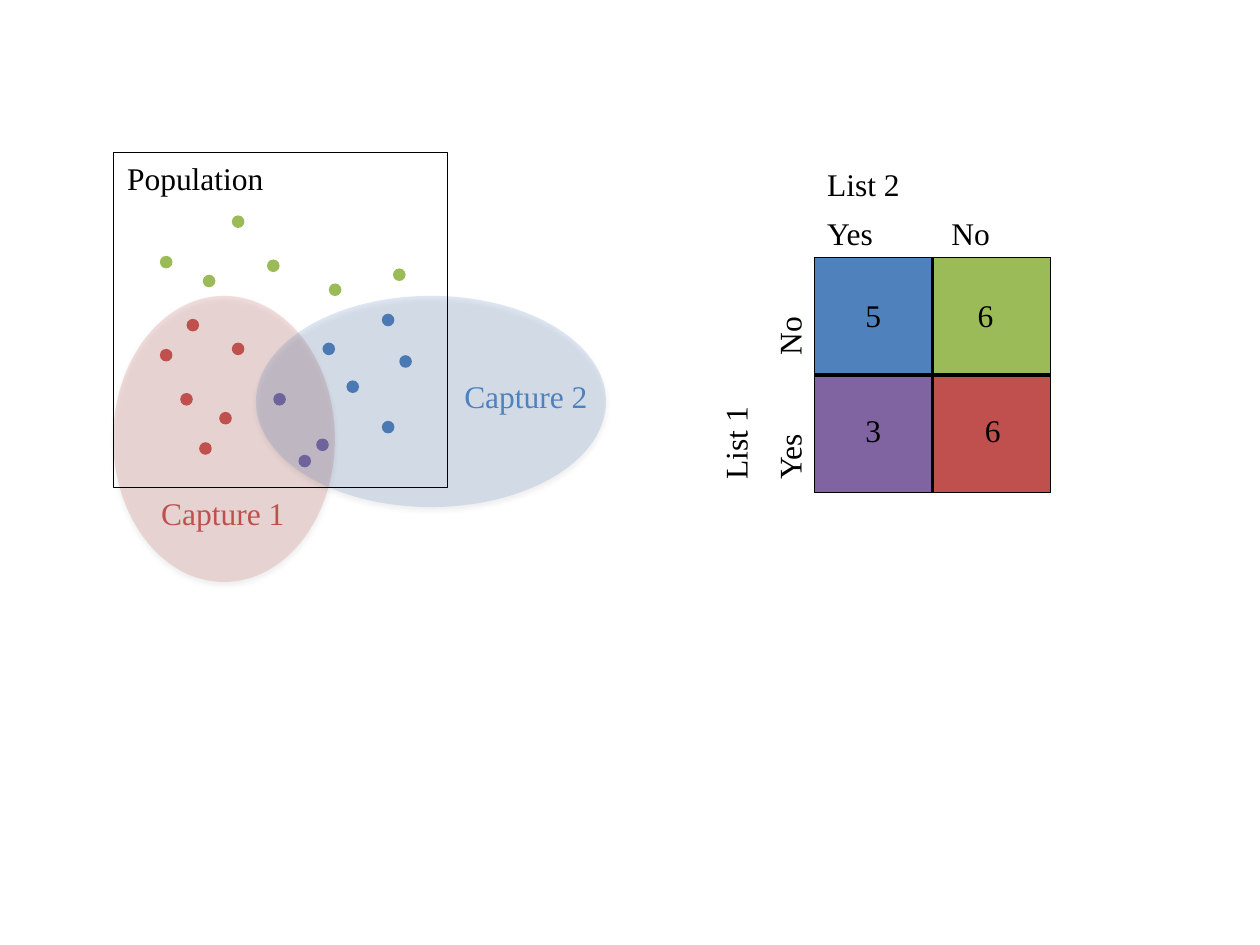
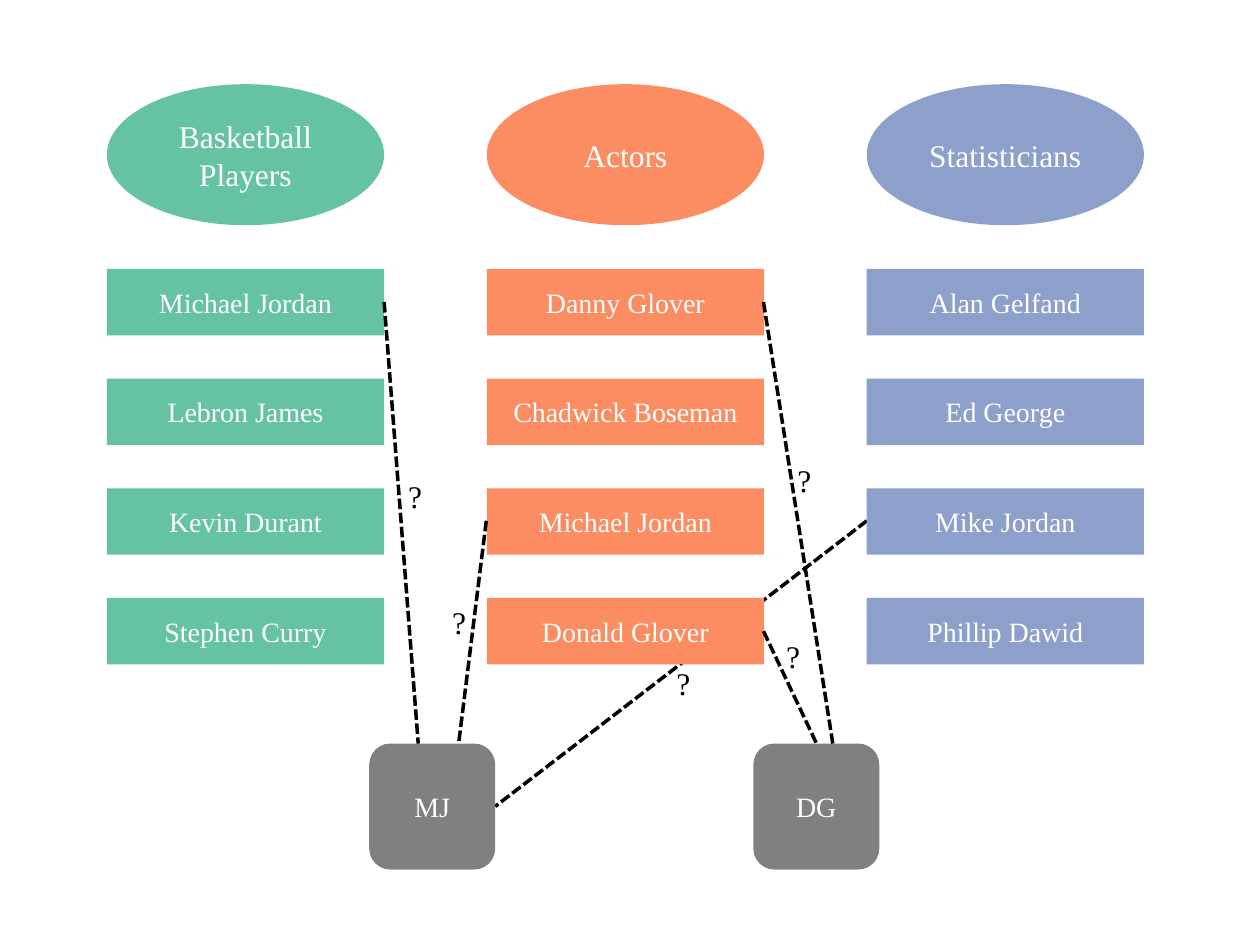
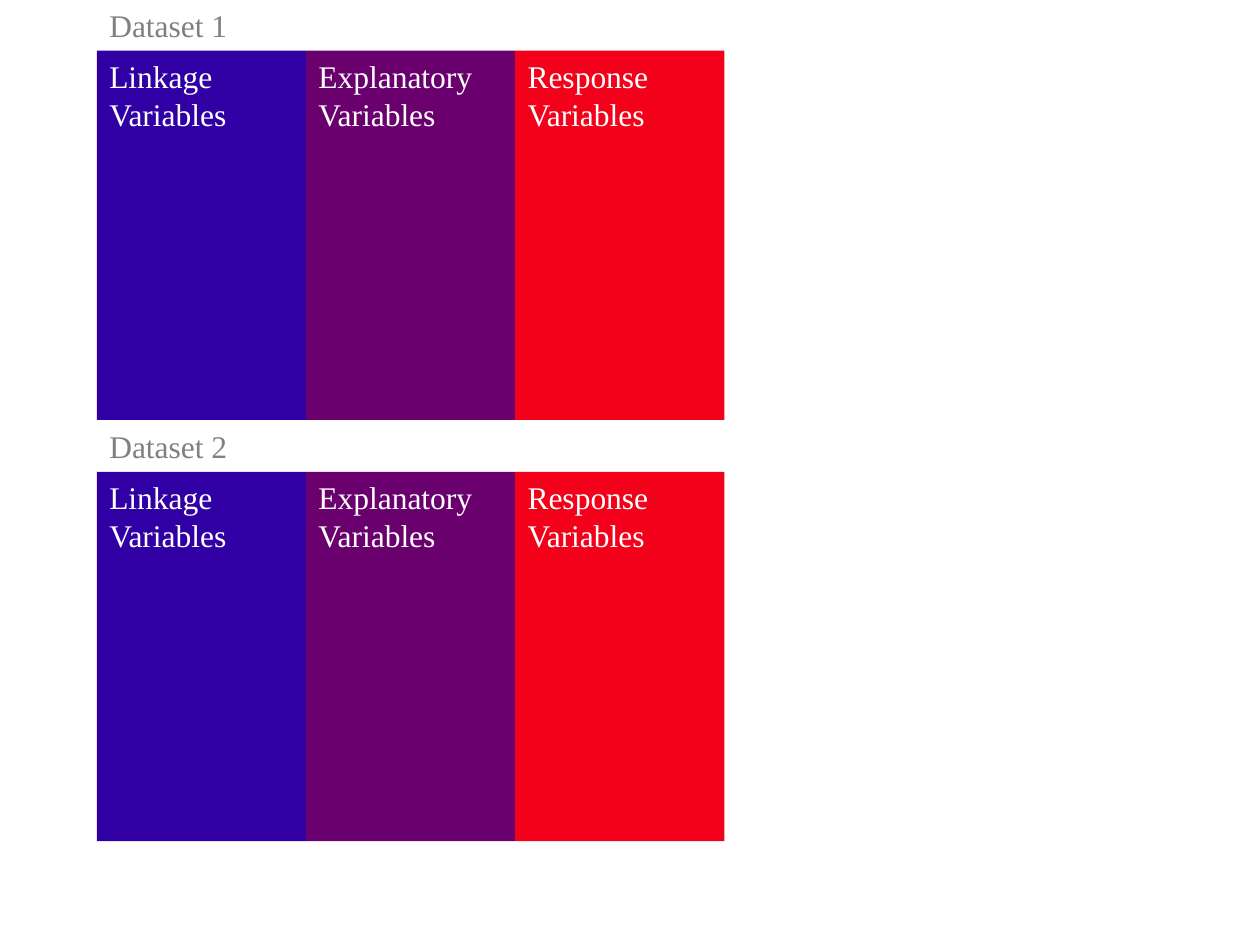
"""Build three slides on capture lists, record linkage and shared datasets."""
from dataclasses import dataclass

from lxml.etree import SubElement
from pptx import Presentation
from pptx.dml.color import RGBColor
from pptx.enum.dml import MSO_LINE
from pptx.enum.shapes import MSO_CONNECTOR, MSO_SHAPE
from pptx.enum.text import MSO_ANCHOR, MSO_AUTO_SIZE, PP_ALIGN
from pptx.oxml.ns import qn
from pptx.util import Pt


@dataclass(frozen=True)
class Theme:
    font: str = "Times New Roman"
    large: int = 18
    small: int = 16
    thin: float = 0.75
    thick: float = 2
    black: str = "000000"
    white: str = "FFFFFF"
    gray: str = "808080"
    blue: str = "4F81BD"
    red: str = "C0504D"
    green: str = "9BBB59"
    purple: str = "8064A2"
    mint: str = "66C2A5"
    coral: str = "FC8D62"
    slate: str = "8DA0CB"
    navy: str = "3000A4"
    plum: str = "69006E"
    scarlet: str = "F3001A"


theme = Theme()


def draw(shapes, kind, box, fill=None, line=None, text="", color=theme.black, size=theme.large):
    place = [Pt(n) for n in box]
    if kind is None:
        item = shapes.add_textbox(*place)
        item.text_frame.auto_size = MSO_AUTO_SIZE.SHAPE_TO_FIT_TEXT
    else:
        item = shapes.add_shape(kind, *place)
        item.shadow.inherit = False
        item.text_frame.vertical_anchor = MSO_ANCHOR.MIDDLE
        if fill:
            item.fill.solid()
            item.fill.fore_color.rgb = RGBColor.from_string(fill)
        else:
            item.fill.background()
        if line:
            item.line.color.rgb = RGBColor.from_string(line)
            item.line.width = Pt(theme.thin)
        else:
            item.line.fill.background()
    if text:
        item.text_frame.word_wrap = True
        para = item.text_frame.paragraphs[0]
        para.alignment = PP_ALIGN.CENTER if kind else PP_ALIGN.LEFT
        run = para.add_run()
        run.text = text
        run.font.name = theme.font
        run.font.size = Pt(size)
        run.font.color.rgb = RGBColor.from_string(color)
    return item


def link(shapes, start, end, dash=None):
    item = shapes.add_connector(MSO_CONNECTOR.STRAIGHT, *[Pt(n) for n in start + end])
    item.line.color.rgb = RGBColor.from_string(theme.black)
    item.line.width = Pt(theme.thick)
    if dash:
        item.line.dash_style = dash
    SubElement(item._element.spPr, qn("a:effectLst"))


deck = Presentation()
deck.slide_width, deck.slide_height = Pt(720), Pt(540)
blank = deck.slide_layouts[6]

page = deck.slides.add_slide(blank).shapes
first = draw(page, MSO_SHAPE.OVAL, (64.7, 169.1, 126.7, 163.5), theme.red)
dots = {
    theme.green: [(91.4, 146.2), (115.9, 157), (187.9, 162), (152.6, 148.3),
                  (132.5, 123.1), (224.6, 153.4)],
    theme.red: [(91.4, 199.4), (106.6, 182.2), (125.3, 235.4), (132.5, 195.8),
                (113.8, 252.7), (103, 224.6)],
    theme.purple: [(156.2, 224.6), (170.6, 259.9), (180.7, 250.6)],
    theme.blue: [(198, 217.4), (228.2, 203), (184.3, 195.8), (218.2, 179.3),
                 (218.2, 240.5)],
}
for color, spots in dots.items():
    for x, y in spots:
        draw(page, MSO_SHAPE.OVAL, (x, y, 7.2, 7.2), color)
draw(page, None, (65.5, 87.1, 109.4, 29), text="Population")
second = draw(page, MSO_SHAPE.OVAL, (146.3, 169.1, 200, 120.7), theme.blue)
for oval in (first, second):
    props = oval._element.spPr
    tint = props.find(qn("a:solidFill"))[0]
    SubElement(tint, qn("a:alpha"), val="18000")
    glow = SubElement(props.find(qn("a:effectLst")), qn("a:outerShdw"),
                      blurRad=str(Pt(3.1)), dist=str(Pt(1.8)), dir="5400000", rotWithShape="0")
    shade = SubElement(glow, qn("a:srgbClr"), val=theme.black)
    SubElement(shade, qn("a:alpha"), val="35000")
draw(page, MSO_SHAPE.RECTANGLE, (64.7, 87.1, 191, 191.5), line=theme.black)
draw(page, None, (85, 278.6, 109.4, 29), text="Capture 1", color=theme.red)
draw(page, None, (258.2, 211.7, 109.4, 29), text="Capture 2", color=theme.blue)

grid = page.add_group_shape().shapes
left, top, cell = 465.6, 147, 67.3
span = 2 * cell
cells = [[theme.blue, theme.green], [theme.purple, theme.red]]
for row, colors in enumerate(cells):
    for col, color in enumerate(colors):
        draw(grid, MSO_SHAPE.RECTANGLE, (left + col * cell, top + row * cell, cell, cell), color)
draw(grid, MSO_SHAPE.RECTANGLE, (left, top, span, span), line=theme.black)
link(grid, (left + cell, top), (left + cell, top + span))
link(grid, (left, top + cell), (left + span, top + cell))
for x, y, turn, label in [(left, 90.7, 0, "List 2"), (352.8, 199.4, 270, "List 1"),
                          (383.8, 199.4, 270, "Yes\tNo"), (left, 118.8, 0, "Yes\tNo")]:
    item = draw(grid, None, (x, y, span, 29), text=label)
    item.rotation = turn
    if "\t" in label:
        props = item.text_frame.paragraphs[0]._p.get_or_add_pPr()
        tabs = SubElement(props, qn("a:tabLst"))
        SubElement(tabs, qn("a:tab"), pos=str(Pt(71)), algn="l")
for x, y, wide, count in [(551.5, 165.6, 32.4, "6"), (555.8, 231.1, 24.5, "6"),
                          (487.4, 231.1, 24.5, "3"), (487.4, 165.6, 24.5, "5")]:
    draw(grid, None, (x, y, wide, 29), text=count)

page = deck.slides.add_slide(blank).shapes
dash = MSO_LINE.SQUARE_DOT
link(page, (495.4, 297.6), (283, 460.8), dash)
groups = [
    ("Basketball Players", theme.mint,
     ["Michael Jordan", "Lebron James", "Kevin Durant", "Stephen Curry"]),
    ("Actors", theme.coral,
     ["Danny Glover", "Chadwick Boseman", "Michael Jordan", "Donald Glover"]),
    ("Statisticians", theme.slate,
     ["Alan Gelfand", "Ed George", "Mike Jordan", "Phillip Dawid"]),
]
for col, (title, color, names) in enumerate(groups):
    x = 61.1 + col * 217.1
    draw(page, MSO_SHAPE.OVAL, (x, 48.1, 158.4, 80.6), color, text=title, color=theme.white)
    for row, name in enumerate(names):
        draw(page, MSO_SHAPE.RECTANGLE, (x, 153.6 + row * 62.7, 158.4, 38), color,
             text=name, color=theme.white, size=theme.small)
for x, name in [(211, "MJ"), (430.5, "DG")]:
    draw(page, MSO_SHAPE.ROUNDED_RECTANGLE, (x, 424.9, 72, 72), theme.gray,
         text=name, color=theme.white, size=theme.small)
for start, end in [((277.9, 297.6), 262.1), ((219.5, 172.6), 239),
                   ((436.3, 172.6), 475.9), ((436.3, 360.7), 466.6)]:
    link(page, start, (end, 424.9), dash)
for x, y in [(226.1, 269.3), (251.3, 341.3), (379.4, 375.8), (448.6, 259.9), (442.1, 360.7)]:
    draw(page, None, (x, y, 25.2, 29), text="?")

page = deck.slides.add_slide(blank).shapes
left, wide, high = 55.4, 119.5, 211
bands = [("Linkage", theme.navy), ("Explanatory", theme.plum), ("Response", theme.scarlet)]
for row in range(2):
    top = 28.9 + row * 240.8
    for col, (kind, color) in enumerate(bands):
        x = left + col * wide
        draw(page, MSO_SHAPE.RECTANGLE, (x, top, wide, high), color)
        draw(page, None, (x, top, wide, 51), text=f"{kind} Variables", color=theme.white)
    draw(page, None, (left, top - 29.3, 3 * wide, 29), text=f"Dataset {row + 1}", color=theme.gray)

deck.save("out.pptx")
